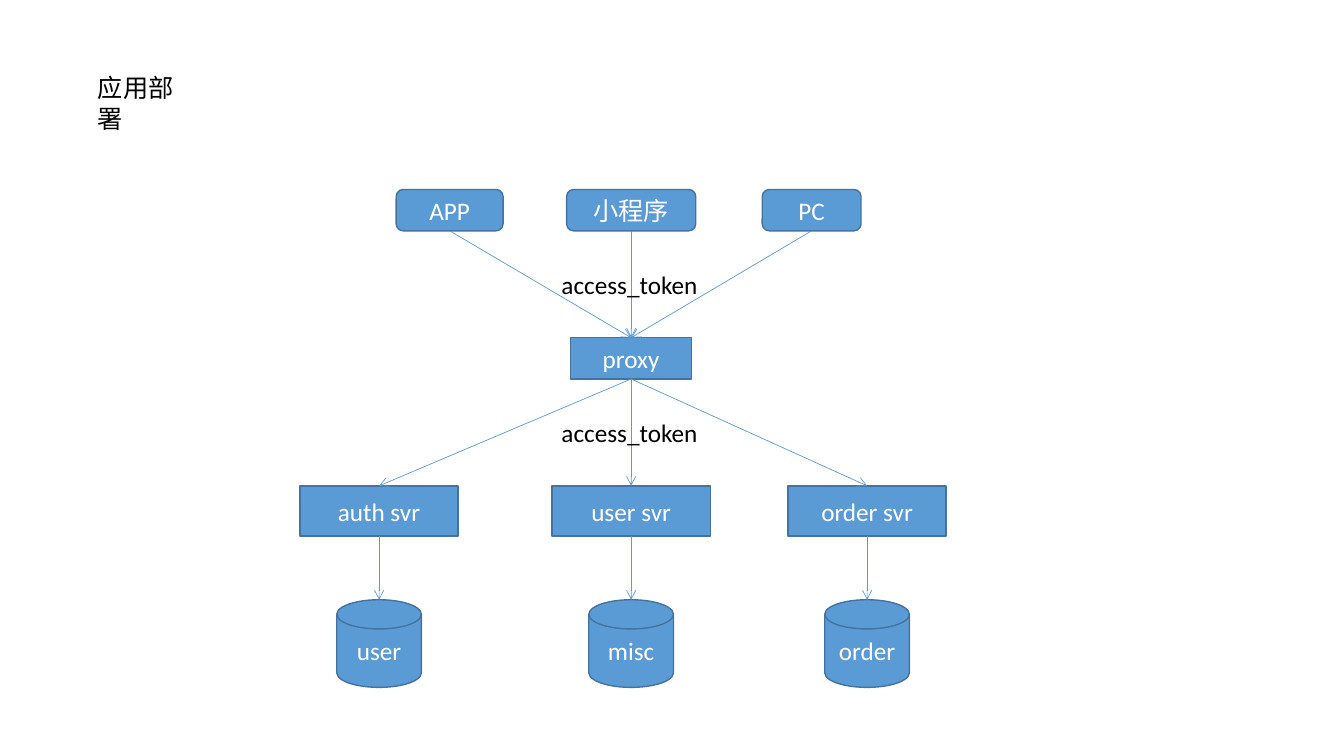
from lxml import etree
from pptx import Presentation
from pptx.dml.color import RGBColor
from pptx.enum.shapes import MSO_CONNECTOR, MSO_SHAPE
from pptx.enum.text import MSO_ANCHOR, MSO_AUTO_SIZE, PP_ALIGN
from pptx.oxml.ns import qn
from pptx.util import Inches, Pt

ROUND = MSO_SHAPE.ROUNDED_RECTANGLE
RECT = MSO_SHAPE.RECTANGLE
DISK = MSO_SHAPE.FLOWCHART_MAGNETIC_DISK
STRAIGHT = MSO_CONNECTOR.STRAIGHT
CENTER, LEFT = PP_ALIGN.CENTER, PP_ALIGN.LEFT
MIDDLE, TOP = MSO_ANCHOR.MIDDLE, MSO_ANCHOR.TOP
NO_FIT = MSO_AUTO_SIZE.NONE

COLORS = {"fill": "5B9BD5", "border": "43739E", "light": "FFFFFF", "dark": "000000"}
FONT, SIZE = "Calibri", 18

TITLE = "应用部署"
# Column centres in inches
AUTH_X, MID_X, ORDER_X = 3.76, 6.26, 8.6
# (text, centre x, width)
CLIENTS = [("APP", 4.46, 1.06), ("小程序", MID_X, 1.28), ("PC", 8.05, 0.98)]
GATEWAY = [("proxy", MID_X, 1.2)]
SERVICES = [("auth svr", AUTH_X, 1.57), ("user svr", MID_X, 1.57), ("order svr", ORDER_X, 1.57)]
STORES = [("user", AUTH_X, 0.84), ("misc", MID_X, 0.84), ("order", ORDER_X, 0.84)]
# (text, top)
TOKEN_LABELS = [("access_token", 2.62), ("access_token", 4.09)]

# Connection site numbers
TOP_SITE, BOTTOM_SITE, DISK_TOP_SITE = 0, 2, 1


def rgb(name):
    return RGBColor.from_string(COLORS[name])


def write(sp, text, color, align, anchor, wrap):
    tf = sp.text_frame
    tf.text = text
    tf.word_wrap = wrap
    tf.auto_size = NO_FIT
    tf.vertical_anchor = anchor
    p = tf.paragraphs[0]
    p.alignment = align
    p.font.name = FONT
    p.font.size = Pt(SIZE)
    p.font.color.rgb = rgb(color)


def add_row(slide, nodes, preset, top, height):
    """Add one tier of nodes and return its shapes."""
    row = []
    for text, center, width in nodes:
        sp = slide.shapes.add_shape(preset, Inches(center - width / 2), Inches(top),
                                    Inches(width), Inches(height))
        sp.shadow.inherit = False
        sp.fill.solid()
        sp.fill.fore_color.rgb = rgb("fill")
        sp.line.color.rgb = rgb("border")
        sp.line.width = Pt(1)
        write(sp, text, "light", CENTER, MIDDLE, True)
        row.append(sp)
    return row


def add_arrow(slide, source, target, site=TOP_SITE):
    """Link the bottom centre of source to the top centre of target."""
    line = slide.shapes.add_connector(STRAIGHT, 0, 0, 0, 0)
    line.begin_connect(source, BOTTOM_SITE)
    line.end_connect(target, site)
    line.end_x, line.end_y = target.left + target.width // 2, target.top
    line.line.color.rgb = rgb("fill")
    line.line.width = Pt(0.5)
    etree.SubElement(line.line._get_or_add_ln(), qn("a:tailEnd"), type="arrow")
    etree.SubElement(line._element.spPr, qn("a:effectLst"))


def main():
    prs = Presentation()
    prs.slide_width, prs.slide_height = Inches(13.33), Inches(7.5)
    slide = prs.slides.add_slide(prs.slide_layouts[5])

    title = slide.shapes.title
    title.left, title.top = Inches(0.87), Inches(0.67)
    title.width, title.height = Inches(1.2), Inches(0.4)
    write(title, TITLE, "dark", LEFT, TOP, False)

    clients = add_row(slide, CLIENTS, ROUND, 1.88, 0.41)
    gateway = add_row(slide, GATEWAY, RECT, 3.35, 0.41)[0]
    services = add_row(slide, SERVICES, RECT, 4.82, 0.5)
    stores = add_row(slide, STORES, DISK, 5.95, 0.87)

    for client in clients:
        add_arrow(slide, client, gateway)
    for service, store in zip(services, stores):
        add_arrow(slide, gateway, service)
        add_arrow(slide, service, store, DISK_TOP_SITE)

    for text, top in TOKEN_LABELS:
        box = slide.shapes.add_textbox(Inches(5.47), Inches(top), Inches(1.55), Inches(0.4))
        write(box, text, "dark", LEFT, TOP, False)

    prs.save("out.pptx")


if __name__ == "__main__":
    main()
